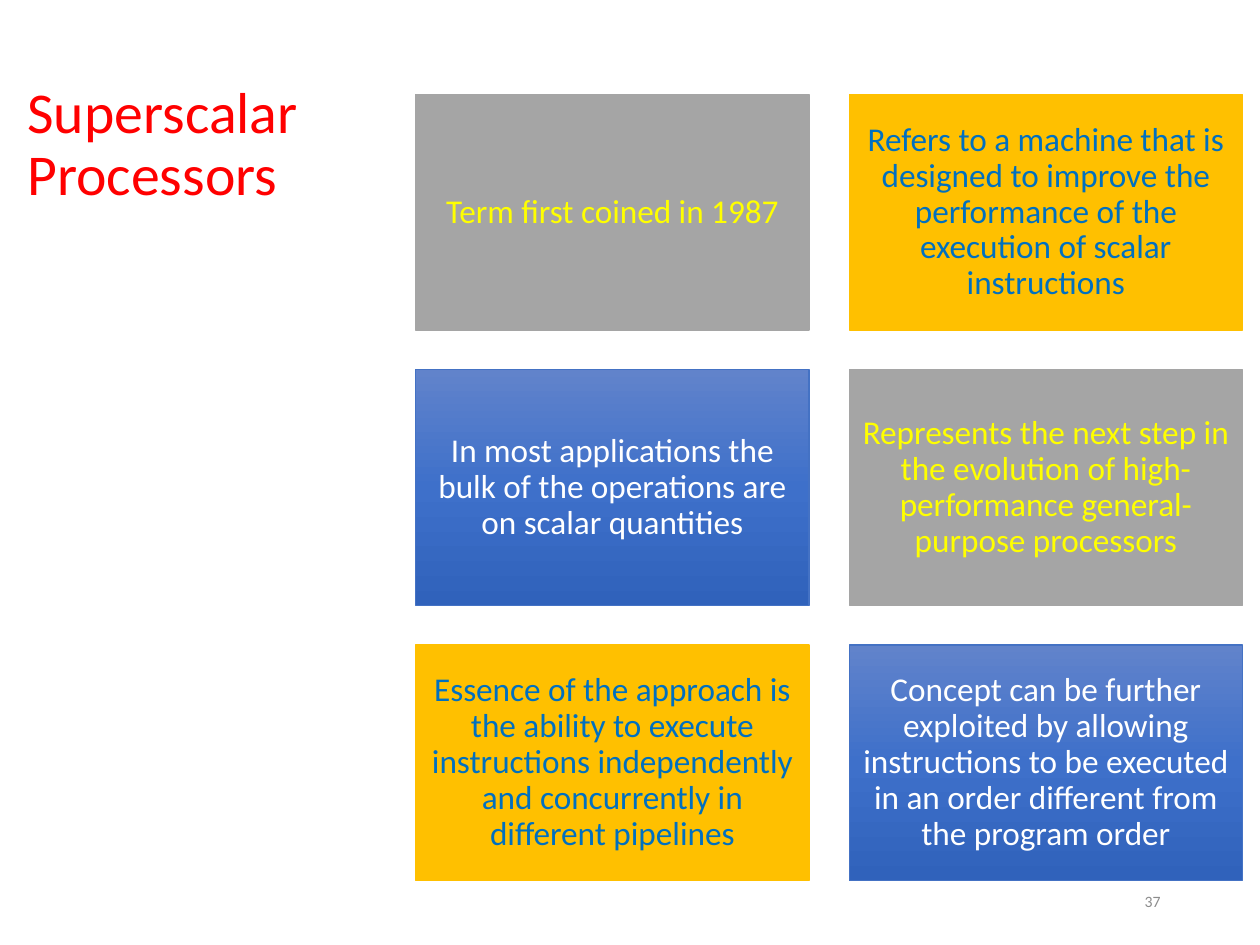
from copy import deepcopy
from dataclasses import dataclass
from typing import Optional

from pptx import Presentation
from pptx.dml.color import RGBColor
from pptx.enum import shapes, text
from pptx.oxml import ns
from pptx.util import Inches, Pt

FONT = "Calibri"
RED = RGBColor(0xFF, 0x00, 0x00)
GRAY = RGBColor(0xA5, 0xA5, 0xA5)
GOLD = RGBColor(0xFF, 0xC0, 0x00)
BLUE = RGBColor(0x44, 0x72, 0xC4)
YELLOW = RGBColor(0xFF, 0xFF, 0x00)
DEEP_BLUE = RGBColor(0x00, 0x70, 0xC0)
WHITE = RGBColor(0xFF, 0xFF, 0xFF)
NUMBER_GRAY = RGBColor(0x8C, 0x8C, 0x8C)
BLUE_GRADIENT = (
    RGBColor(0x61, 0x83, 0xCB),
    RGBColor(0x3E, 0x70, 0xCA),
    RGBColor(0x30, 0x62, 0xBB),
)

# Card grid, in inches
COLUMNS = 2
GRID_LEFT, GRID_TOP = 3.3, 0.75
CARD_WIDTH, CARD_HEIGHT = 3.12, 1.87
COLUMN_STEP, ROW_STEP = 3.44, 2.185
CARD_INSET = 0.08


@dataclass(frozen=True)
class CardStyle:
    color: RGBColor
    font_color: RGBColor
    gradient: Optional[tuple[RGBColor, ...]] = None


@dataclass(frozen=True)
class Card:
    statement: str
    style: CardStyle


GRAY_CARD = CardStyle(GRAY, YELLOW)
GOLD_CARD = CardStyle(GOLD, DEEP_BLUE)
BLUE_CARD = CardStyle(BLUE, WHITE, BLUE_GRADIENT)

CARDS = [
    Card("Term first coined in 1987", GRAY_CARD),
    Card("Refers to a machine that is designed to improve the performance "
         "of the execution of scalar instructions", GOLD_CARD),
    Card("In most applications the bulk of the operations are on scalar "
         "quantities", BLUE_CARD),
    Card("Represents the next step in the evolution of high-performance "
         "general-purpose processors", GRAY_CARD),
    Card("Essence of the approach is the ability to execute instructions "
         "independently and concurrently in different pipelines", GOLD_CARD),
    Card("Concept can be further exploited by allowing instructions to be "
         "executed in an order different from the program order", BLUE_CARD),
]


def write(shape, words: str, size: float, color: RGBColor, align,
          anchor, line_spacing: float = 1.0) -> None:
    """Put one wrapped, single-run paragraph into a shape."""
    frame = shape.text_frame
    frame.word_wrap = True
    frame.vertical_anchor = anchor
    paragraph = frame.paragraphs[0]
    paragraph.alignment = align
    paragraph.line_spacing = line_spacing
    run = paragraph.add_run()
    run.text = words
    run.font.name = FONT
    run.font.size = Pt(size)
    run.font.color.rgb = color


def fill_gradient(shape, colors: tuple[RGBColor, ...]) -> None:
    """Fill from top to bottom with evenly spaced colours."""
    shape.fill.gradient()
    shape.fill.gradient_angle = 270
    # A new gradient has two stops; add the rest in XML
    stop_list = shape._element.spPr.find(
        f"{ns.qn('a:gradFill')}/{ns.qn('a:gsLst')}")
    while len(stop_list) < len(colors):
        stop_list.append(deepcopy(stop_list[0]))
    for index, (stop, color) in enumerate(zip(shape.fill.gradient_stops, colors)):
        stop.position = index / (len(colors) - 1)
        stop.color.rgb = color


def draw_card(slide, card: Card, left: float, top: float) -> None:
    box = slide.shapes.add_shape(
        shapes.MSO_SHAPE.RECTANGLE, Inches(left), Inches(top),
        Inches(CARD_WIDTH), Inches(CARD_HEIGHT))
    box.shadow.inherit = False
    if card.style.gradient:
        fill_gradient(box, card.style.gradient)
    else:
        box.fill.solid()
        box.fill.fore_color.rgb = card.style.color
    box.line.color.rgb = card.style.color
    box.line.width = Pt(0.75)

    frame = box.text_frame
    frame.margin_left = frame.margin_right = Inches(CARD_INSET)
    frame.margin_top = frame.margin_bottom = Inches(CARD_INSET)
    write(box, card.statement, 19, card.style.font_color,
          text.PP_ALIGN.CENTER, text.MSO_ANCHOR.MIDDLE, 0.9)


def main() -> None:
    deck = Presentation()
    deck.slide_width, deck.slide_height = Inches(10), Inches(7.5)
    slide = deck.slides.add_slide(deck.slide_layouts[6])

    # Title
    title = slide.shapes.add_textbox(
        Inches(0.12), Inches(0.44), Inches(3.17), Inches(1.26))
    write(title, "Superscalar Processors", 33, RED,
          text.PP_ALIGN.LEFT, text.MSO_ANCHOR.BOTTOM, 0.9)

    # Cards
    for index, card in enumerate(CARDS):
        row, column = divmod(index, COLUMNS)
        draw_card(slide, card, GRID_LEFT + column * COLUMN_STEP,
                  GRID_TOP + row * ROW_STEP)

    # Slide number
    number = slide.shapes.add_textbox(
        Inches(7.06), Inches(6.95), Inches(2.25), Inches(0.4))
    write(number, "37", 9, NUMBER_GRAY,
          text.PP_ALIGN.RIGHT, text.MSO_ANCHOR.MIDDLE)

    deck.save("out.pptx")


if __name__ == "__main__":
    main()
